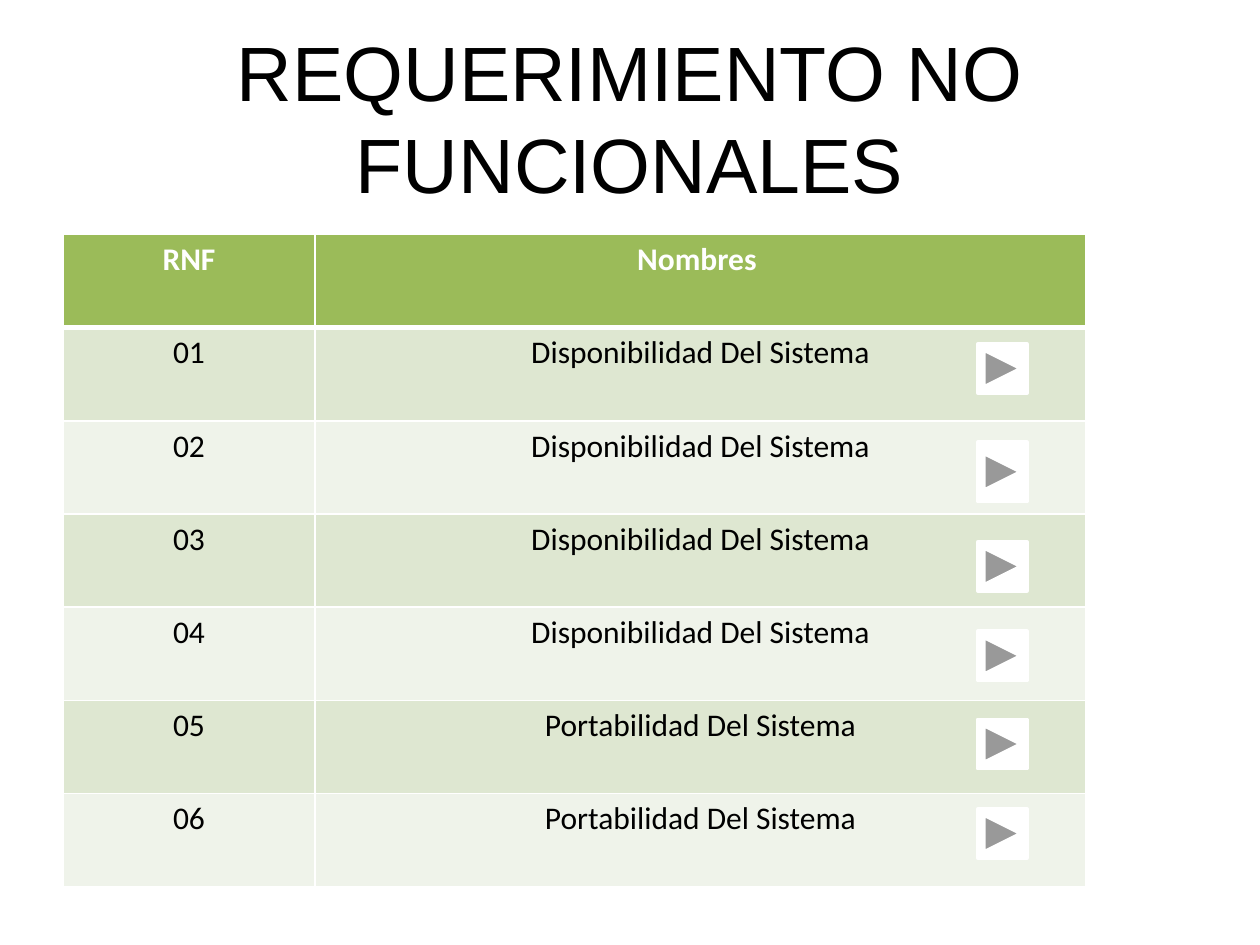
"""Build the slide that lists the non-functional requirements."""
import dataclasses
import typing

import pptx
import pptx.dml.color
import pptx.enum.shapes
import pptx.enum.text
import pptx.oxml
import pptx.oxml.ns
import pptx.presentation
import pptx.slide
import pptx.table
import pptx.text.text
import pptx.util

Inches = pptx.util.Inches
Color = pptx.dml.color.RGBColor


@dataclasses.dataclass(frozen=True)
class Theme:
    """Colours, fonts and type sizes of the slide."""
    white: str = "FFFFFF"
    black: str = "000000"
    head: str = "9BBB59"
    bands: tuple[str, str] = ("DEE7D1", "EFF3EA")
    title_font: str = "Arial"
    table_font: str = "Calibri"
    title_size: int = 44
    table_size: int = 18
    thin: int = 1
    thick: int = 3
    edge: int = 2


@dataclasses.dataclass(frozen=True)
class Need:
    """One requirement row with the top and height of its button."""
    code: str
    name: str
    top: float
    height: float


THEME = Theme()
UPTIME = "Disponibilidad Del Sistema"
PORTING = "Portabilidad Del Sistema"
HEADS = ("RNF", "Nombres ")
NEEDS = (
    Need("01", UPTIME, 2.73, 0.39),
    Need("02", UPTIME, 3.51, 0.47),
    Need("03", UPTIME, 4.3, 0.39),
    Need("04", UPTIME, 5.01, 0.39),
    Need("05", PORTING, 5.71, 0.39),
    Need("06", PORTING, 6.42, 0.39),
)
WIDTHS = (2, 6.12)
ROW = 0.74


def style(para: pptx.text.text._Paragraph, font: str, size: int,
          color: str, bold: bool = False) -> None:
    """Centre a paragraph and set its font."""
    para.alignment = pptx.enum.text.PP_ALIGN.CENTER
    para.font.name = font
    para.font.size = pptx.util.Pt(size)
    para.font.bold = bold
    para.font.color.rgb = Color.from_string(color)


def add_title(slide: pptx.slide.Slide) -> None:
    """Fill and place the title placeholder."""
    title = slide.shapes.title
    title.left, title.top = Inches(0.5), Inches(0.3)
    title.width, title.height = Inches(9), Inches(1.25)
    frame = title.text_frame
    frame.text = "REQUERIMIENTO NO FUNCIONALES"
    frame.vertical_anchor = pptx.enum.text.MSO_ANCHOR.MIDDLE
    style(frame.paragraphs[0], THEME.title_font, THEME.title_size, THEME.black)


def add_edges(cell: pptx.table._Cell, top: int, bottom: int) -> None:
    """Draw white borders around a cell."""
    props = cell._tc.get_or_add_tcPr()
    sides = {"L": THEME.thin, "R": THEME.thin, "T": top, "B": bottom}
    for side, width in sides.items():
        props.append(pptx.oxml.parse_xml(
            f'<a:ln{side} {pptx.oxml.ns.nsdecls("a")} w="{pptx.util.Pt(width)}">'
            f'<a:solidFill><a:srgbClr val="{THEME.white}"/></a:solidFill>'
            f'</a:ln{side}>'))


def fill_row(cells: typing.Iterable[pptx.table._Cell],
             texts: tuple[str, ...], index: int) -> None:
    """Write and format one table row."""
    is_head = index == 0
    back = THEME.head if is_head else THEME.bands[(index - 1) % 2]
    ink = THEME.white if is_head else THEME.black
    top = THEME.thick if index == 1 else THEME.thin
    bottom = THEME.thick if is_head else THEME.thin
    for cell, text in zip(cells, texts):
        cell.text = text
        style(cell.text_frame.paragraphs[0], THEME.table_font,
              THEME.table_size, ink, is_head)
        add_edges(cell, top, bottom)
        cell.fill.solid()
        cell.fill.fore_color.rgb = Color.from_string(back)


def add_grid(slide: pptx.slide.Slide) -> None:
    """Add the table of requirements."""
    lines = [HEADS] + [(need.code, need.name) for need in NEEDS]
    table = slide.shapes.add_table(
        len(lines), len(WIDTHS), Inches(0.5), Inches(1.86),
        Inches(sum(WIDTHS)), Inches(ROW * len(lines))).table
    for column, width in zip(table.columns, WIDTHS):
        column.width = Inches(width)
    for index, (row, texts) in enumerate(zip(table.rows, lines)):
        row.height = Inches(ROW)
        fill_row(row.cells, texts, index)


def add_button(slide: pptx.slide.Slide, need: Need) -> None:
    """Add the white forward button of a requirement."""
    button = slide.shapes.add_shape(
        pptx.enum.shapes.MSO_SHAPE.ACTION_BUTTON_FORWARD_OR_NEXT,
        Inches(7.76), Inches(need.top), Inches(0.39), Inches(need.height))
    button.shadow.inherit = False
    white = Color.from_string(THEME.white)
    button.fill.solid()
    button.fill.fore_color.rgb = white
    button.line.color.rgb = white
    button.line.width = pptx.util.Pt(THEME.edge)


def main() -> None:
    """Build and save the slide."""
    deck = pptx.Presentation()
    deck.slide_width, deck.slide_height = Inches(10), Inches(7.5)
    slide = deck.slides.add_slide(deck.slide_layouts.get_by_name("Title Only"))
    add_title(slide)
    add_grid(slide)
    for need in NEEDS:
        add_button(slide, need)
    deck.save("out.pptx")


if __name__ == "__main__":
    main()
